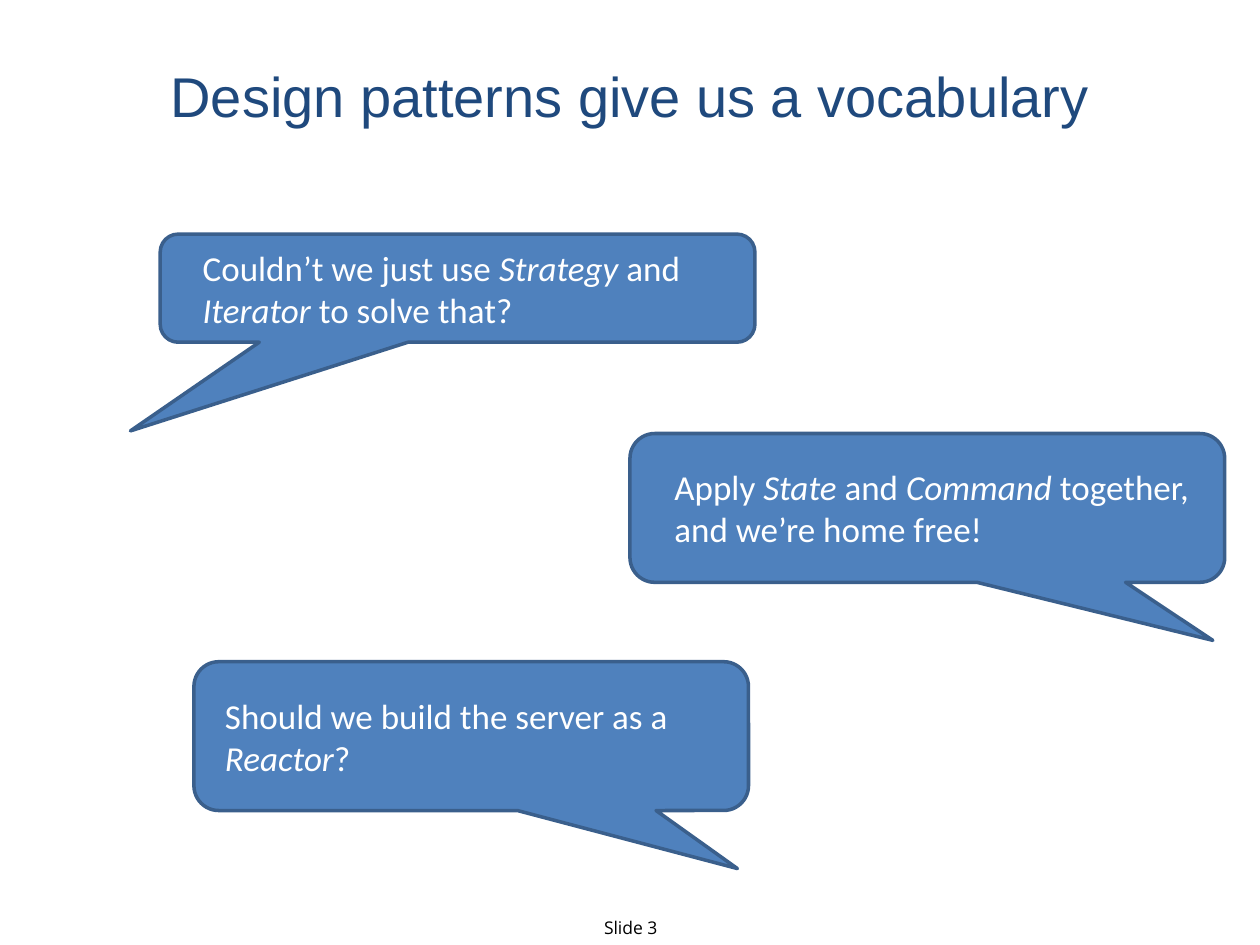
import pptx
import pptx.dml.color
import pptx.enum.shapes
import pptx.enum.text
import pptx.util

Cm = pptx.util.Cm
RGBColor = pptx.dml.color.RGBColor
PP_ALIGN = pptx.enum.text.PP_ALIGN
MIDDLE = pptx.enum.text.MSO_ANCHOR.MIDDLE

NAVY = RGBColor(0x1F, 0x49, 0x7D)
BLUE = RGBColor(0x4F, 0x81, 0xBD)
OUTLINE = RGBColor(0x3A, 0x5F, 0x8C)
WHITE = RGBColor(0xFF, 0xFF, 0xFF)
BLACK = RGBColor(0, 0, 0)


def write(frame, text, *, font, size, color, align=PP_ALIGN.CENTER,
          level=0, indent=0):
    """Fill a text frame; parts between asterisks are set in italics."""
    frame.word_wrap = True
    frame.vertical_anchor = MIDDLE
    paragraph = frame.paragraphs[0]
    paragraph.alignment = align
    paragraph.level = level
    properties = paragraph._p.get_or_add_pPr()
    properties.set("marL", str(Cm(indent)))
    properties.set("indent", "0")
    for number, part in enumerate(text.split("*")):
        run = paragraph.add_run()
        run.text = part
        run.font.name = font
        run.font.size = pptx.util.Pt(size)
        run.font.color.rgb = color
        run.font.italic = number % 2 == 1


def place_title(slide, box, text):
    """Move the title placeholder to the box and write the heading."""
    title = slide.shapes.title
    title.left, title.top, title.width, title.height = map(Cm, box)
    write(title.text_frame, text, font="Arial", size=32, color=NAVY)


def add_remark(slide, box, tip, text, indent):
    """Draw a speech bubble; tip is its offset from the centre, per size."""
    bubble = slide.shapes.add_shape(
        pptx.enum.shapes.MSO_SHAPE.ROUNDED_RECTANGULAR_CALLOUT, *map(Cm, box))
    bubble.adjustments[0], bubble.adjustments[1] = tip
    bubble.shadow.inherit = False
    bubble.fill.solid()
    bubble.fill.fore_color.rgb = BLUE
    bubble.line.color.rgb = OUTLINE
    bubble.line.width = pptx.util.Pt(2)
    write(bubble.text_frame, text, font="Calibri", size=20, color=WHITE,
          align=PP_ALIGN.LEFT, level=1, indent=indent)


def add_page_label(slide, box, text):
    """Write the page label at the foot of the slide."""
    label = slide.shapes.add_textbox(*map(Cm, box))
    write(label.text_frame, text, font="Open Sans", size=10, color=BLACK)


def build_vocabulary_slide(deck):
    """Add the slide with its title, three remarks and page label."""
    slide = deck.slides.add_slide(deck.slide_layouts[5])
    add_page_label(slide, (11.05, 18.36, 3.33, 0.69), "Slide 3")
    place_title(slide, (1.3, 0.69, 22.81, 2.44),
                "Design patterns give us a vocabulary")
    lower_right = (0.48, 0.89)
    remarks = [
        ((3.23, 4.72, 11.99, 2.18), (-0.55, 1.32),
         "Couldn’t we just use *Strategy* and *Iterator* to solve that?", 0.5),
        ((12.7, 8.74, 11.99, 3), lower_right,
         "Apply *State* and *Command *together, and we’re home free!", 0.5),
        ((3.91, 13.34, 11.18, 3), lower_right,
         "Should we build the server as a *Reactor*?", 0.23),
    ]
    for remark in remarks:
        add_remark(slide, *remark)


deck = pptx.Presentation()
deck.slide_width, deck.slide_height = Cm(25.4), Cm(19.05)
build_vocabulary_slide(deck)
deck.save("out.pptx")
